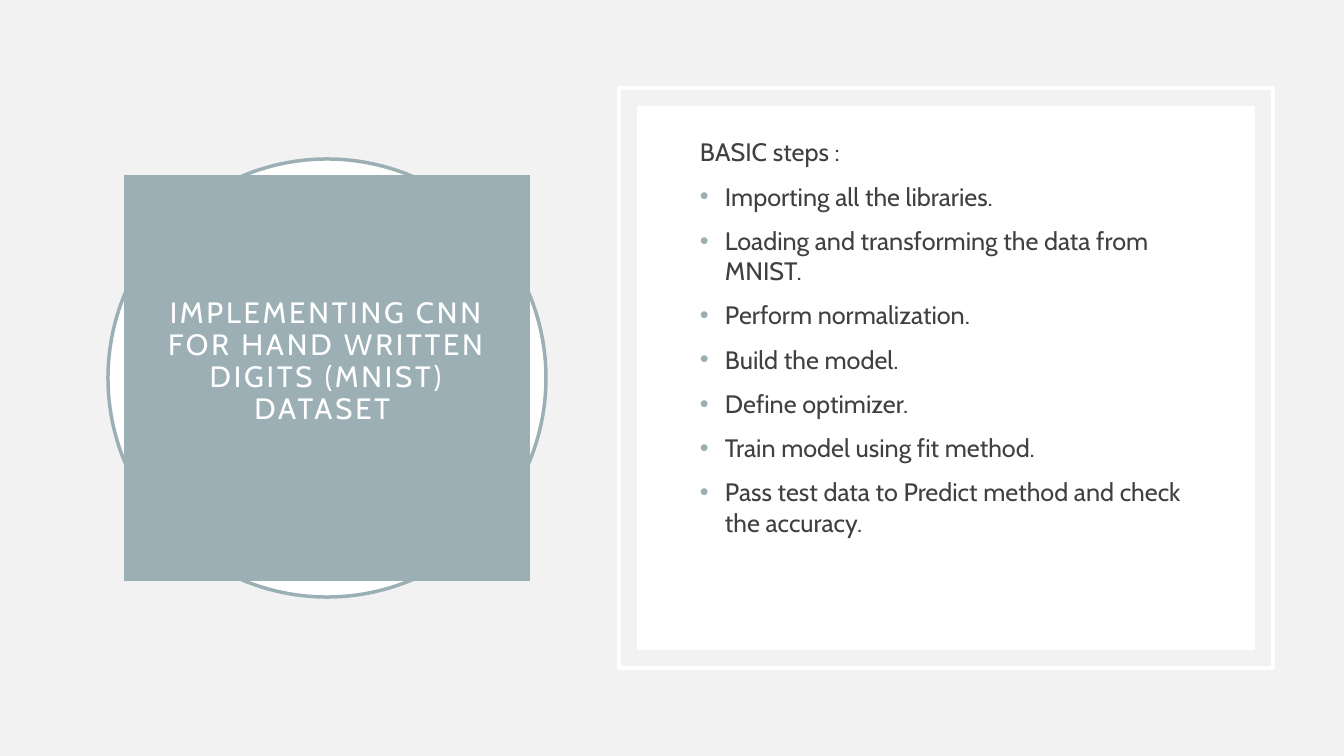
from lxml import etree
from pptx import Presentation
from pptx import util as u
from pptx.dml.color import RGBColor
from pptx.enum import shapes, text
from pptx.oxml.ns import qn

COLOURS = {
    "background": "F2F2F2",
    "accent": "9BAFB5",
    "white": "FFFFFF",
    "body": "404040",
}
FONT = "Cabin"
EMU_PER_PX = 914400 / 100.8
INDENT = 25

TITLE = "IMPLEMENTING CNN FOR HAND WRITTEN DIGITS (MNIST) DATASET "
HEADING = "BASIC steps :"
STEPS = [
    "Importing all the libraries.",
    "Loading and transforming the data from MNIST.",
    "Perform normalization.",
    "Build the model.",
    "Define optimizer.",
    "Train model using fit method.",
    "Pass test data to Predict method and check the accuracy.",
]


def px(length):
    return u.Emu(round(length * EMU_PER_PX))


def colour(name):
    return RGBColor.from_string(COLOURS[name])


def write(para, words, size, ink, align=text.PP_ALIGN.LEFT, line=1.0, before=0, tracking=0):
    para.alignment = align
    para.line_spacing = line
    para.space_before = u.Pt(before)
    span = para.add_run()
    span.text = words
    span.font.name = FONT
    span.font.size = u.Pt(size)
    span.font.color.rgb = colour(ink)
    if tracking:
        span.font._element.set("spc", str(tracking * 100))


def add_bullet(para, ink):
    props = para._p.get_or_add_pPr()
    props.set("marL", str(px(INDENT)))
    props.set("indent", str(-px(INDENT)))
    bullet_colour = etree.SubElement(props, qn("a:buClr"))
    etree.SubElement(bullet_colour, qn("a:srgbClr"), val=COLOURS[ink])
    etree.SubElement(props, qn("a:buFont"), typeface="Arial")
    etree.SubElement(props, qn("a:buChar"), char="•")


class StepsSlide:
    """Holds the slide and draws its elements, placed in px."""

    def __init__(self, deck):
        self.slide = deck.slides.add_slide(deck.slide_layouts[6])
        fill = self.slide.background.fill
        fill.solid()
        fill.fore_color.rgb = colour("background")

    def shape(self, kind, area, fill=None, line=None):
        box = self.slide.shapes.add_shape(kind, *map(px, area))
        box.shadow.inherit = False
        if fill:
            box.fill.solid()
            box.fill.fore_color.rgb = colour(fill)
        else:
            box.fill.background()
        if line:
            box.line.color.rgb = colour(line)
            box.line.width = u.Pt(2.5)
        else:
            box.line.fill.background()
        return box

    def text_box(self, area):
        return self.slide.shapes.add_textbox(*map(px, area))

    def frame(self, box, insets):
        """Set wrapping, middle anchor and left, top, right, bottom insets."""
        frame = box.text_frame
        frame.word_wrap = True
        frame.vertical_anchor = text.MSO_ANCHOR.MIDDLE
        (frame.margin_left, frame.margin_top,
         frame.margin_right, frame.margin_bottom) = map(px, insets)
        return frame


def main():
    deck = Presentation()
    deck.slide_width, deck.slide_height = px(1344), px(756)
    page = StepsSlide(deck)
    oval, rectangle = shapes.MSO_SHAPE.OVAL, shapes.MSO_SHAPE.RECTANGLE

    page.shape(oval, (108, 159, 438, 438), fill="white", line="accent")
    title = page.shape(rectangle, (124, 175, 406, 406), fill="accent")
    title_frame = page.frame(title, (20, 20, 20, 52))
    write(title_frame.paragraphs[0], TITLE, 21, "white",
          align=text.PP_ALIGN.CENTER, line=0.9, tracking=2)

    page.shape(rectangle, (619, 88, 654, 580), line="white")
    page.shape(rectangle, (637, 106, 618, 544), fill="white")
    steps_frame = page.frame(page.text_box((690, 159, 513, 438)), (10, 5, 10, 87))
    write(steps_frame.paragraphs[0], HEADING, 18, "body", before=10)
    for step in STEPS:
        para = steps_frame.add_paragraph()
        write(para, step, 18, "body", before=10)
        add_bullet(para, "accent")

    deck.save("out.pptx")


if __name__ == "__main__":
    main()
